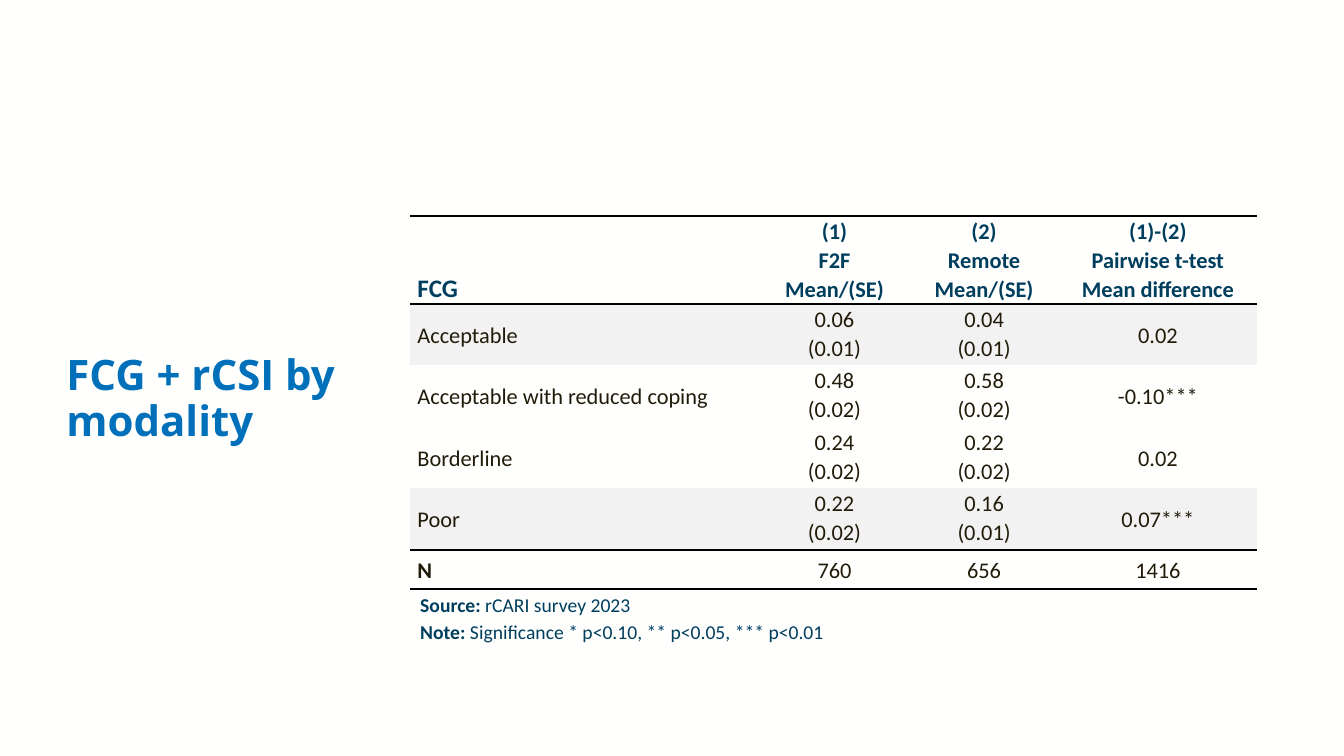
from dataclasses import dataclass

from lxml import etree
from pptx import Presentation
from pptx.dml.color import RGBColor
from pptx.enum.text import MSO_ANCHOR, MSO_AUTO_SIZE, PP_ALIGN
from pptx.oxml.ns import qn
from pptx.util import Cm, Pt

LEFT, CENTER, JUSTIFY = PP_ALIGN.LEFT, PP_ALIGN.CENTER, PP_ALIGN.JUSTIFY
TOP, MIDDLE, BOTTOM = MSO_ANCHOR.TOP, MSO_ANCHOR.MIDDLE, MSO_ANCHOR.BOTTOM
NO_FIT, GROW = MSO_AUTO_SIZE.NONE, MSO_AUTO_SIZE.SHAPE_TO_FIT_TEXT


@dataclass(frozen=True)
class Theme:
    background: str = "FFFFFE"
    title: str = "0070BA"
    heading: str = "003E5E"
    body: str = "211B09"
    band: str = "F2F2F2"
    rule: str = "000000"
    title_font: str = "Open Sans"
    body_font: str = "Calibri"
    title_size: int = 30
    label_size: int = 18
    table_size: int = 16
    note_size: int = 14
    rule_width: float = 1.5


THEME = Theme()

HEADER = ["FCG", "(1)\nF2F\nMean/(SE)", "(2)\nRemote\nMean/(SE)",
          "(1)-(2)\nPairwise t-test\nMean difference"]
GROUPS = [
    ["Acceptable", "0.06\n(0.01)", "0.04\n(0.01)", "0.02"],
    ["Acceptable with reduced coping", "0.48\n(0.02)", "0.58\n(0.02)", "-0.10***"],
    ["Borderline", "0.24\n(0.02)", "0.22\n(0.02)", "0.02"],
    ["Poor", "0.22\n(0.02)", "0.16\n(0.01)", "0.07***"],
]
TOTALS = ["N", "760", "656", "1416"]
NOTES = [
    [("Source:", True), (" rCARI survey 2023", False)],
    [("Note:", True), (" Significance * p<0.10, ** p<0.05, *** p<0.01", False)],
]
COLUMN_WIDTHS = [8.81, 3.76, 3.78, 4.98]
ROW_HEIGHTS = [2.21] + [1.55] * len(GROUPS) + [0.99]
TABLE_LEFT, TABLE_TOP = 10.34, 5.44


def set_all(target, formats):
    for name, value in formats.items():
        setattr(target, name, value)


def write(tf, lines, size, color, font, align, spacing):
    """Fill a text frame; each line is a list of (text, bold) runs."""
    for i, runs in enumerate(lines):
        p = tf.add_paragraph() if i else tf.paragraphs[0]
        set_all(p, {"alignment": align, "line_spacing": spacing})
        for text, bold in runs:
            r = p.add_run()
            r.text = text
            set_all(r.font, {"size": Pt(size), "bold": bold, "name": font})
            r.font.color.rgb = RGBColor.from_string(color)


def set_borders(cell, ruled_sides):
    """Rule the given sides (L, R, T, B) and clear the others."""
    tc_pr = cell._tc.get_or_add_tcPr()
    for side in "LRTB":
        ln = etree.SubElement(tc_pr, qn(f"a:ln{side}"))
        if side in ruled_sides:
            ln.set("w", str(Pt(THEME.rule_width)))
            fill = etree.SubElement(ln, qn("a:solidFill"))
            etree.SubElement(fill, qn("a:srgbClr"), val=THEME.rule)
        else:
            etree.SubElement(ln, qn("a:noFill"))


def set_fill(cell, color):
    if color:
        cell.fill.solid()
        cell.fill.fore_color.rgb = RGBColor.from_string(color)
    else:
        cell.fill.background()


def add_title(s, text):
    sp = s.shapes.title
    set_all(sp, {"left": Cm(1.42), "top": Cm(7.54), "width": Cm(8.92), "height": Cm(5.08)})
    tf = sp.text_frame
    set_all(tf, {"word_wrap": True, "auto_size": NO_FIT, "vertical_anchor": MIDDLE})
    write(tf, [[(text, True)]], THEME.title_size, THEME.title, THEME.title_font, LEFT, 0.9)


def add_results_table(s):
    rows = [HEADER, *GROUPS, TOTALS]
    last = len(rows) - 1
    table = s.shapes.add_table(len(rows), len(HEADER), Cm(TABLE_LEFT), Cm(TABLE_TOP),
                               Cm(sum(COLUMN_WIDTHS)), Cm(sum(ROW_HEIGHTS))).table
    set_all(table, {"first_row": False, "horz_banding": False})
    for column, width in zip(table.columns, COLUMN_WIDTHS):
        column.width = Cm(width)
    for i, (row, height) in enumerate(zip(rows, ROW_HEIGHTS)):
        table.rows[i].height = Cm(height)
        header = i == 0
        sides = ("T" if i in (0, 1, last) else "") + ("B" if i in (0, last - 1, last) else "")
        for j, text in enumerate(row):
            cell = table.cell(i, j)
            label = j == 0
            single = MIDDLE if not header else BOTTOM
            set_all(cell, {"margin_left": Cm(0.18), "margin_right": Cm(0.18),
                           "margin_top": 0, "margin_bottom": 0,
                           "vertical_anchor": TOP if "\n" in text else single})
            set_borders(cell, sides)
            set_fill(cell, THEME.band if i in (1, last - 1) else None)
            bold = header or (label and i == last)
            write(cell.text_frame, [[(line, bold)] for line in text.split("\n")],
                  THEME.label_size if header and label else THEME.table_size,
                  THEME.heading if header else THEME.body,
                  THEME.body_font, LEFT if label else CENTER, 1.07)


def add_notes_box(s):
    sp = s.shapes.add_textbox(Cm(TABLE_LEFT), Cm(14.73), Cm(16.94), Cm(1.6))
    tf = sp.text_frame
    set_all(tf, {"word_wrap": True, "auto_size": GROW})
    write(tf, NOTES, THEME.note_size, THEME.heading, THEME.body_font, JUSTIFY, 1.15)


def main():
    prs = Presentation()
    set_all(prs, {"slide_width": Cm(33.87), "slide_height": Cm(19.05)})
    s = prs.slides.add_slide(prs.slide_layouts.get_by_name("Title Only"))
    s.background.fill.solid()
    s.background.fill.fore_color.rgb = RGBColor.from_string(THEME.background)
    add_title(s, "FCG + rCSI by modality")
    add_results_table(s)
    add_notes_box(s)
    prs.save("out.pptx")


if __name__ == "__main__":
    main()
